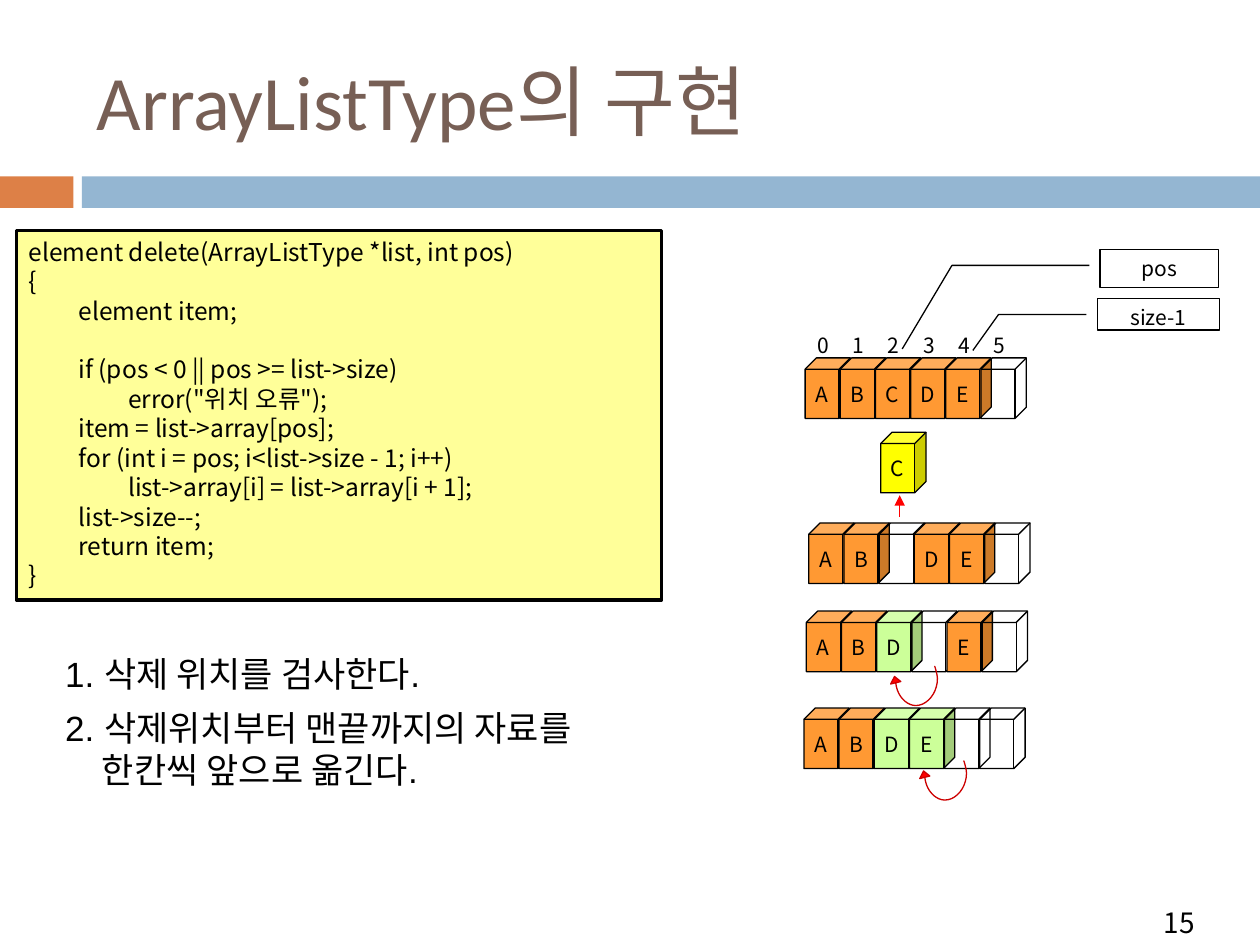
import pptx
import pptx.util
import pptx.dml.color
import pptx.enum.shapes
import pptx.enum.text
import pptx.oxml
import pptx.oxml.ns

Pt = pptx.util.Pt
KIND = pptx.enum.shapes.MSO_SHAPE
ALIGN = pptx.enum.text.PP_ALIGN
ANCHOR = pptx.enum.text.MSO_ANCHOR
NOTO = "Noto Sans CJK KR"
HEX = {
    "black": "000000", "brown": "775F55", "rust": "DD8047", "blue": "94B6D2",
    "cream": "FFFF99", "orange": "FF9933", "green": "CCFF99",
    "yellow": "FFFF00", "red": "FF0000", "dark": "CC0000",
}
CODE = """element delete(ArrayListType *list, int pos)
{
\telement item;

\tif (pos < 0 || pos >= list->size)
\t\terror("위치 오류");
\titem = list->array[pos];
\tfor (int i = pos; i<list->size - 1; i++)
\t\tlist->array[i] = list->array[i + 1];
\tlist->size--;
\treturn item;
}"""
STEPS = ["1. 삭제 위치를 검사한다.",
         "2. 삭제위치부터 맨끝까지의 자료를 한칸씩 앞으로 옮긴다."]
CELL_W, CELL_H, PITCH = 25.9, 34.6, 20.1
ROWS = [
    (460.1, 204.5, "ABCDE ", ""),
    (462.2, 298.8, "AB DE ", ""),
    (460.8, 349.2, "ABD E ", "D"),
    (459.4, 404.6, "ABDE  ", "DE"),
]
CURVES = [
    [(0, 0), (0.7, 7.2), (5.8, 13), (11.5, 13)],
    [(11.5, 13), (18, 13), (23.8, 5.8), (23.8, -2.2)],
    [(23.8, -2.2), (23.8, -4.3), (23, -7.2), (22.3, -9.4)],
]
HEAD = [(-2.9, 0.7), (-0.7, -3.6), (2.9, -0.7)]


def color(name):
    return pptx.dml.color.RGBColor.from_string(HEX[name])


def paint(shape, fill, line, width=0.75):
    shape.shadow.inherit = False
    if fill:
        shape.fill.solid()
        shape.fill.fore_color.rgb = color(fill)
    else:
        shape.fill.background()
    if line:
        shape.line.color.rgb = color(line)
        shape.line.width = Pt(width)
    else:
        shape.line.fill.background()


def style(para, size, font=NOTO, ink="black", align=ALIGN.LEFT):
    para.alignment = align
    for run in para.runs:
        run.font.size = Pt(size)
        run.font.name = font
        run.font.color.rgb = color(ink)
        east = pptx.oxml.parse_xml(
            f'<a:ea {pptx.oxml.ns.nsdecls("a")} typeface="{NOTO}"/>')
        run.font._element.find(pptx.oxml.ns.qn("a:latin")).addnext(east)


def add_box(slide, kind, box, fill=None, line=None, width=0.75):
    shape = slide.shapes.add_shape(kind, *map(Pt, box))
    paint(shape, fill, line, width)
    return shape


def add_text(slide, box, text, size, **look):
    frame = slide.shapes.add_textbox(*map(Pt, box)).text_frame
    frame.word_wrap = True
    frame.text = text
    for para in frame.paragraphs:
        style(para, size, **look)
    return frame


def add_cube(slide, left, top, text, fill=None, line="black"):
    cube = add_box(slide, KIND.CUBE, (left, top, CELL_W, CELL_H), fill, line)
    cube.adjustments[0] = 0.25
    if text.strip():
        frame = cube.text_frame
        frame.word_wrap = False
        frame.vertical_anchor = ANCHOR.MIDDLE
        frame.text = text
        style(frame.paragraphs[0], 12, align=ALIGN.CENTER)


def add_row(slide, left, top, text, green):
    for i, item in enumerate(text):
        fill = "green" if item in green else "orange"
        add_cube(slide, left + i * PITCH, top, item,
                 None if item == " " else fill)


def add_note(slide, box, text, bends):
    note = add_box(slide, KIND.LINE_CALLOUT_2, box, None, "black")
    for i, bend in enumerate(bends):
        note.adjustments[i] = bend
    note.text_frame.text = text
    note.text_frame.vertical_anchor = ANCHOR.TOP
    style(note.text_frame.paragraphs[0], 12, align=ALIGN.CENTER)


def trace(curve, steps=10):
    for i in range(1, steps + 1):
        t = i / steps
        rate = ((1 - t) ** 3, 3 * t * (1 - t) ** 2, 3 * t * t * (1 - t), t ** 3)
        yield tuple(sum(r * p[axis] for r, p in zip(rate, curve))
                    for axis in (0, 1))


def add_hook(slide, left, top):
    arc = [(0, 0)] + [dot for curve in CURVES for dot in trace(curve)]
    dots = [(Pt(left + x), Pt(top + y)) for x, y in arc + arc[-2::-1] + HEAD]
    form = slide.shapes.build_freeform(*dots[0])
    form.add_line_segments(dots[1:], close=True)
    paint(form.convert_to_shape(), "red", "dark")


def add_arrow(slide, x, start, end):
    kind = pptx.enum.shapes.MSO_CONNECTOR.STRAIGHT
    line = slide.shapes.add_connector(kind, Pt(x), Pt(start), Pt(x), Pt(end))
    line.line.color.rgb = color("red")
    line.line.width = Pt(0.75)
    names = pptx.oxml.ns.nsdecls("a")
    line.line._get_or_add_ln().append(
        pptx.oxml.parse_xml(f'<a:tailEnd {names} type="triangle"/>'))
    line._element.spPr.append(pptx.oxml.parse_xml(f"<a:effectLst {names}/>"))


def add_code(slide):
    box = add_box(slide, KIND.RECTANGLE, (9.4, 131.8, 368.6, 211),
                  "cream", "black", 2)
    frame = box.text_frame
    frame.word_wrap = True
    frame.vertical_anchor = ANCHOR.TOP
    frame.text = CODE.replace("\n\n", "\n")
    for para in frame.paragraphs:
        style(para, 14, align=ALIGN.JUSTIFY)
        para.line_spacing = Pt(16.8)
        if para.text.startswith("\tif"):
            para.space_before = Pt(16.8)
        stops = "".join(f'<a:tab pos="{Pt(28.35 * n)}" algn="l"/>'
                        for n in (1, 2))
        para._p.get_or_add_pPr().append(pptx.oxml.parse_xml(
            f'<a:tabLst {pptx.oxml.ns.nsdecls("a")}>{stops}</a:tabLst>'))


def add_steps(slide):
    frame = add_text(slide, (30.2, 369.4, 347, 105), "\n".join(STEPS), 20,
                     font="Arial")
    for para in frame.paragraphs:
        para.line_spacing = Pt(24)
        para.space_before = Pt(7)
        props = para._p.get_or_add_pPr()
        props.set("marL", str(Pt(21)))
        props.set("indent", str(Pt(-21)))


def main():
    deck = pptx.Presentation()
    deck.slide_width, deck.slide_height = Pt(720), Pt(540)
    slide = deck.slides.add_slide(deck.slide_layouts[6])
    add_box(slide, KIND.RECTANGLE, (0, 100.8, 42, 18), "rust")
    add_box(slide, KIND.RECTANGLE, (46.8, 100.8, 673.2, 18), "blue")
    add_text(slide, (629.3, 514, 60.5, 26.6), "15", 16, align=ALIGN.RIGHT)
    title = add_text(slide, (48.2, 18, 642.2, 77.8), "ArrayListType의 구현",
                     44, font="Calibri", ink="brown")
    title.vertical_anchor = ANCHOR.MIDDLE
    add_code(slide)
    for row in ROWS:
        add_row(slide, *row)
    for i in range(6):
        add_cube(slide, 460.8 + i * PITCH, 176.4, str(i), line=None)
    add_note(slide, (628.6, 142.6, 67.7, 21.6), "pos",
             (0.42, -0.09, 0.42, -1.25, 2.63, -1.67))
    add_note(slide, (627.1, 170.6, 69.8, 18), "size-1",
             (0.51, -0.09, 0.51, -0.81, 1.65, -1.02))
    add_cube(slide, 503.3, 247, "C", "yellow")
    add_arrow(slide, 514.1, 295.2, 283)
    for left, top in ((511.9, 390.2), (528.5, 444.2)):
        add_hook(slide, left, top)
    add_steps(slide)
    deck.save("out.pptx")


if __name__ == "__main__":
    main()
